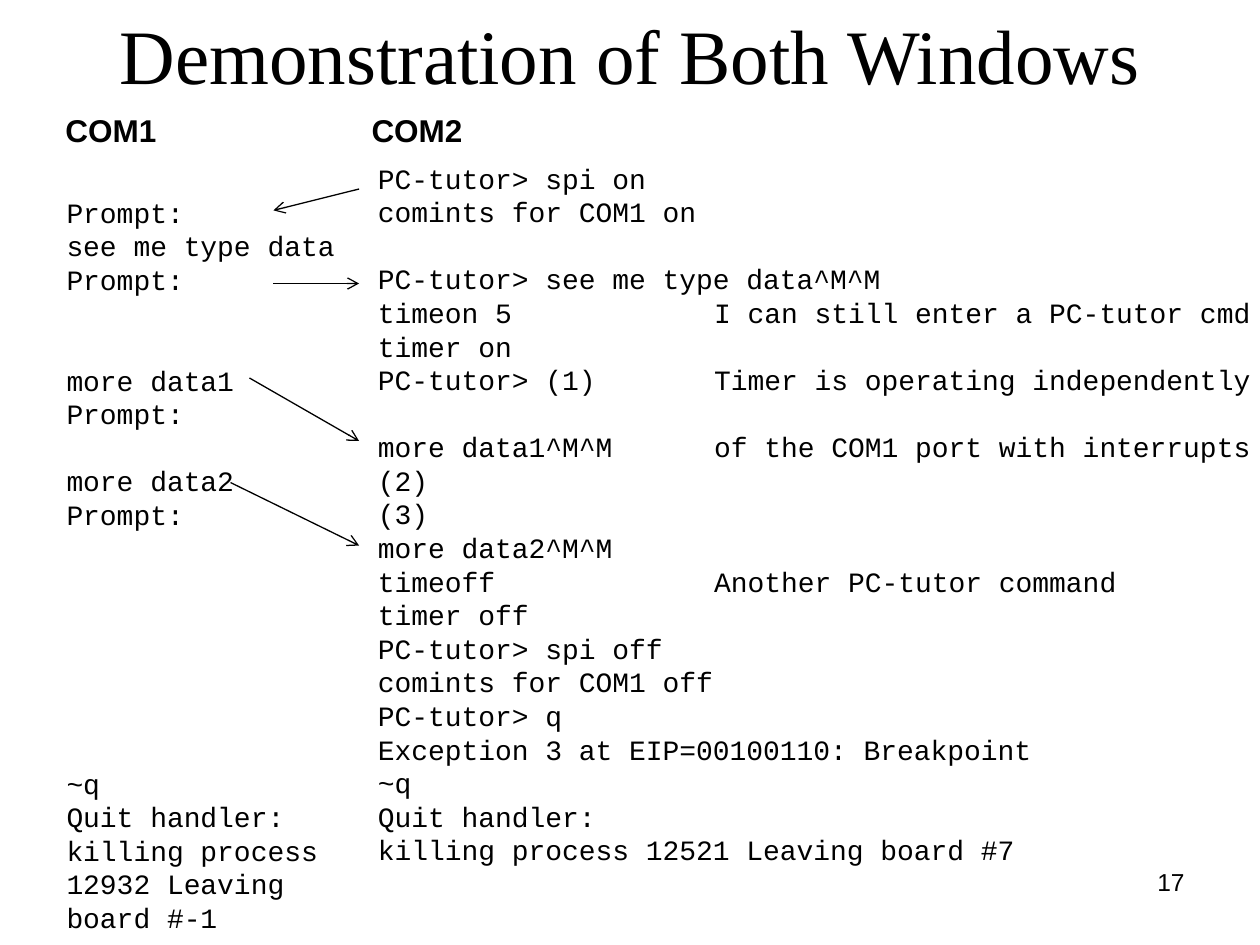
import pptx
import pptx.util
import pptx.dml.color
import pptx.enum.text
import pptx.enum.shapes
import pptx.oxml
import lxml.etree
from pptx.util import Inches

COLORS = {"ink": "000000", "background": "FFFFFF"}
LINE_PITCH = 19.2  # points per terminal row
NOTE_TAB = 2.67    # inches from the text edge to the remarks

# Each entry: empty rows above, text
COM1_SESSION = [
    (0, "Prompt:"),
    (0, "see me type data"),
    (0, "Prompt:"),
    (2, "more data1"),
    (0, "Prompt:"),
    (1, "more data2"),
    (0, "Prompt:"),
    (7, "~q"),
    (0, "Quit handler:"),
    (0, "killing process"),
    (0, "12932 Leaving"),
    (0, "board #-1"),
]
COM2_SESSION = [
    (0, "PC-tutor> spi on"),
    (0, "comints for COM1 on"),
    (1, "PC-tutor> see me type data^M^M"),
    (0, "timeon 5\tI can still enter a PC-tutor cmd"),
    (0, "timer on"),
    (0, "PC-tutor> (1)\tTimer is operating independently"),
    (1, "more data1^M^M\tof the COM1 port with interrupts"),
    (0, "(2)"),
    (0, "(3)"),
    (0, "more data2^M^M"),
    (0, "timeoff\tAnother PC-tutor command"),
    (0, "timer off"),
    (0, "PC-tutor> spi off"),
    (0, "comints for COM1 off"),
    (0, "PC-tutor> q"),
    (0, "Exception 3 at EIP=00100110: Breakpoint"),
    (0, "~q"),
    (0, "Quit handler:"),
    (0, "killing process 12521 Leaving board #7"),
]
# Start x, start y, end x, end y
ARROWS = [
    (2.85, 1.5, 2.17, 1.67),
    (2.17, 2.25, 2.85, 2.25),
    (1.98, 3, 2.85, 3.5),
    (1.83, 3.83, 2.85, 4.33),
]


def color(name):
    return pptx.dml.color.RGBColor.from_string(COLORS[name])


def format_runs(paragraph, font, size, bold=False):
    for run in paragraph.runs:
        run.font.name = font
        run.font.size = pptx.util.Pt(size)
        run.font.bold = bold
        run.font.color.rgb = color("ink")


def add_title(slide, text):
    title = slide.shapes.title
    title.left, title.top = Inches(0.5), Inches(0.1)
    title.width, title.height = Inches(9), Inches(0.65)
    frame = title.text_frame
    frame.text = text
    frame.auto_size = pptx.enum.text.MSO_AUTO_SIZE.NONE
    frame.vertical_anchor = pptx.enum.text.MSO_ANCHOR.MIDDLE
    frame.paragraphs[0].alignment = pptx.enum.text.PP_ALIGN.CENTER
    format_runs(frame.paragraphs[0], "Times New Roman", 44)


def add_label(slide, text, left, top, width, height, size, bold=False, align="LEFT"):
    label = slide.shapes.add_textbox(
        Inches(left), Inches(top), Inches(width), Inches(height))
    label.text_frame.word_wrap = True
    label.text_frame.text = text
    paragraph = label.text_frame.paragraphs[0]
    paragraph.alignment = pptx.enum.text.PP_ALIGN[align]
    format_runs(paragraph, "Arial", size, bold)


def add_note_tab(paragraph):
    properties = paragraph._p.get_or_add_pPr()
    tabs = lxml.etree.SubElement(properties, pptx.oxml.ns.qn("a:tabLst"))
    lxml.etree.SubElement(tabs, pptx.oxml.ns.qn("a:tab"),
                          pos=str(Inches(NOTE_TAB)), algn="l")


def add_session(slide, session, left, top, width, height):
    terminal = slide.shapes.add_textbox(
        Inches(left), Inches(top), Inches(width), Inches(height))
    frame = terminal.text_frame
    frame.word_wrap = True
    frame.margin_right = 0
    for index, (empty_rows, text) in enumerate(session):
        row = frame.paragraphs[0] if index == 0 else frame.add_paragraph()
        row.text = text
        row.line_spacing = pptx.util.Pt(LINE_PITCH)
        row.space_before = pptx.util.Pt(empty_rows * LINE_PITCH)
        if "\t" in text:
            add_note_tab(row)
        format_runs(row, "Courier New", 16)


def add_arrow(slide, *ends):
    arrow = slide.shapes.add_connector(
        pptx.enum.shapes.MSO_CONNECTOR.STRAIGHT, *map(Inches, ends))
    arrow.line.color.rgb = color("ink")
    arrow.line.width = pptx.util.Pt(0.74)
    lxml.etree.SubElement(arrow.line._get_or_add_ln(),
                          pptx.oxml.ns.qn("a:tailEnd"), type="arrow")
    lxml.etree.SubElement(arrow._element.spPr, pptx.oxml.ns.qn("a:effectLst"))


def main():
    deck = pptx.Presentation()
    deck.slide_width, deck.slide_height = Inches(10), Inches(7.5)
    slide = deck.slides.add_slide(deck.slide_layouts[5])
    slide.background.fill.solid()
    slide.background.fill.fore_color.rgb = color("background")

    # Heading and page number
    add_title(slide, "Demonstration of Both Windows")
    add_label(slide, "17", 7.17, 6.83, 2.33, 0.52, 14, align="RIGHT")

    # The two terminal windows
    add_label(slide, "COM1", 0.42, 0.83, 0.95, 0.4, 18, bold=True)
    add_label(slide, "COM2", 2.85, 0.83, 0.95, 0.4, 18, bold=True)
    add_session(slide, COM1_SESSION, 0.43, 1.5, 2.33, 5.97)
    add_session(slide, COM2_SESSION, 2.9, 1.23, 7.11, 5.7)

    # Data flow between the windows
    for ends in ARROWS:
        add_arrow(slide, *ends)

    deck.save("out.pptx")


main()
